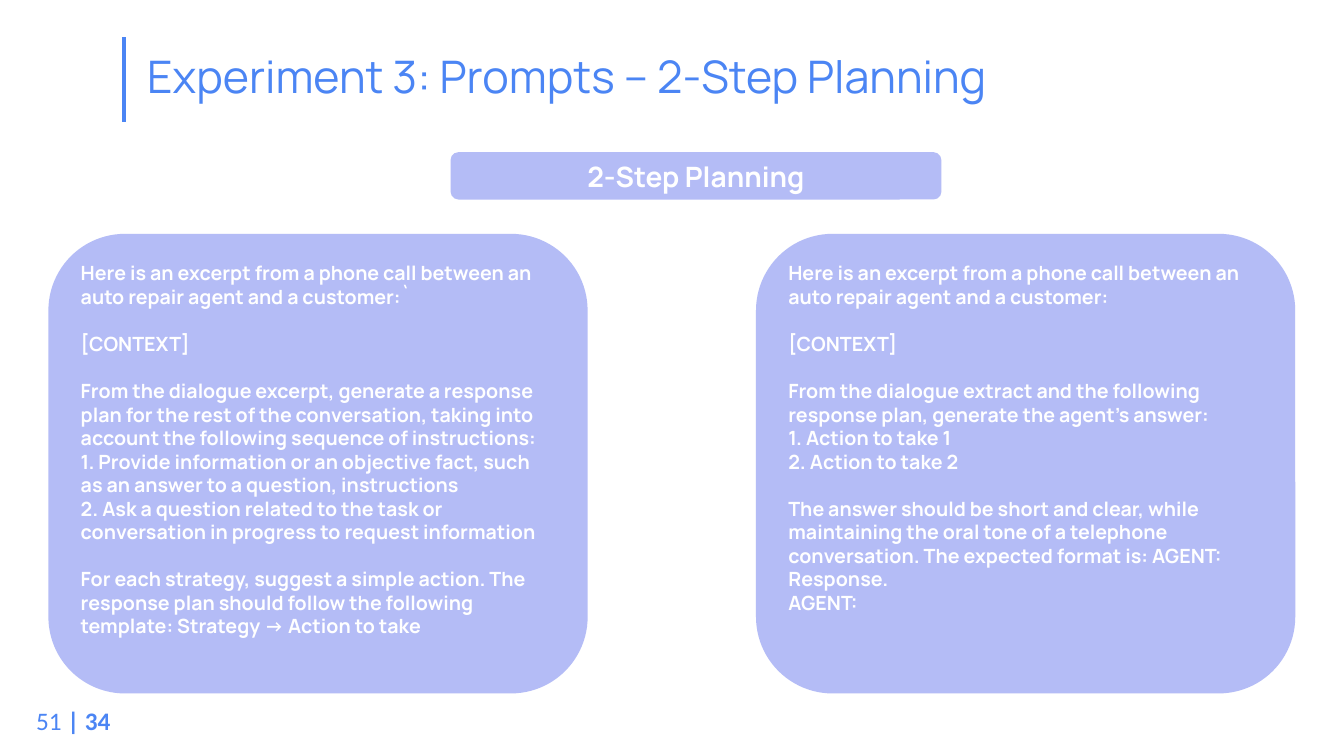
from lxml.etree import SubElement
from pptx import Presentation
from pptx.dml.color import RGBColor
from pptx.enum.shapes import MSO_CONNECTOR, MSO_SHAPE
from pptx.enum.text import MSO_ANCHOR, MSO_AUTO_SIZE, PP_ALIGN
from pptx.oxml.ns import qn
from pptx.util import Pt

COLORS = {"blue": "4B85F4", "lavender": "A5AFF5", "white": "FFFFFF"}
TITLE = {"name": "Manrope", "size": Pt(32), "bold": False}
HEADING = {"name": "Manrope", "size": Pt(20), "bold": True}
PROMPT = {"name": "Manrope", "size": Pt(14), "bold": True}
NUMBER = {"name": "Calibri", "size": Pt(18), "bold": False}
TOTAL = {"name": "Calibri", "size": Pt(18), "bold": True}
BLOCK_GAP = Pt(16.8)


def add_span(para, text, style, color):
    span = para.add_run()
    span.text = text
    for key, value in style.items():
        setattr(span.font, key, value)
    span.font.color.rgb = RGBColor.from_string(COLORS[color])


def add_panel(page, left, top, width, height, anchor):
    panel = page.shapes.add_shape(
        MSO_SHAPE.ROUNDED_RECTANGLE, Pt(left), Pt(top), Pt(width), Pt(height)
    )
    panel.shadow.inherit = False
    panel.line.fill.background()
    panel.fill.solid()
    panel.fill.fore_color.rgb = RGBColor.from_string(COLORS["lavender"])
    fill_color = panel.fill._xPr.find(qn("a:solidFill"))[0]
    SubElement(fill_color, qn("a:alpha"), val="83000")
    panel.text_frame.word_wrap = True
    panel.text_frame.vertical_anchor = anchor
    return panel.text_frame


deck = Presentation()
deck.slide_width, deck.slide_height = Pt(960), Pt(540)
page = deck.slides.add_slide(deck.slide_layouts[5])

number_box = page.shapes.add_textbox(Pt(18.72), Pt(500.4), Pt(71.28), Pt(28.8))
number_box.text_frame.word_wrap = False
number_para = number_box.text_frame.paragraphs[0]
add_span(number_para, "51 ", NUMBER, "blue")
add_span(number_para, "| 34", TOTAL, "blue")

title_rule = page.shapes.add_connector(
    MSO_CONNECTOR.STRAIGHT, Pt(88.56), Pt(26.64), Pt(88.56), Pt(87.12)
)
title_rule.line.color.rgb = RGBColor.from_string(COLORS["blue"])
title_rule.line.width = Pt(2.25)
SubElement(title_rule.line._get_or_add_ln().getparent(), qn("a:effectLst"))

title = page.shapes.title
title.left, title.top, title.width, title.height = Pt(97.92), Pt(4.32), Pt(828), Pt(104.4)
title.text_frame.auto_size = MSO_AUTO_SIZE.NONE
title.text_frame.word_wrap = True
title.text_frame.vertical_anchor = MSO_ANCHOR.MIDDLE
title_para = title.text_frame.paragraphs[0]
title_para.alignment = PP_ALIGN.LEFT
title_para.line_spacing = 0.9
add_span(title_para, "Experiment 3: Prompts – 2-Step Planning", TITLE, "blue")

heading = add_panel(page, 321.84, 108.72, 350.64, 33.84, MSO_ANCHOR.MIDDLE)
heading.paragraphs[0].alignment = PP_ALIGN.CENTER
add_span(heading.paragraphs[0], "2-Step Planning", HEADING, "white")

prompts = [
    (34.56, [
        ["Here is an excerpt from a phone call between an auto repair agent and a customer:`"],
        ["[CONTEXT]"],
        [
            "From the dialogue excerpt, generate a response plan for the rest of the "
            "conversation, taking into account the following sequence of instructions:",
            "1. Provide information or an objective fact, such as an answer to a question, "
            "instructions",
            "2. Ask a question related to the task or conversation in progress to request "
            "information",
        ],
        [
            "For each strategy, suggest a simple action. The response plan should follow "
            "the following template: Strategy → Action to take",
        ],
    ]),
    (540, [
        ["Here is an excerpt from a phone call between an auto repair agent and a customer:"],
        ["[CONTEXT]"],
        [
            "From the dialogue extract and the following response plan, generate the "
            "agent's answer:",
            "1. Action to take 1",
            "2. Action to take 2",
        ],
        [
            "The answer should be short and clear, while maintaining the oral tone of a "
            "telephone conversation. The expected format is: AGENT: Response.",
            "AGENT:",
        ],
    ]),
]

for left, blocks in prompts:
    frame = add_panel(page, left, 167.04, 385.2, 328.32, MSO_ANCHOR.TOP)
    for block_index, block in enumerate(blocks):
        for line_index, text in enumerate(block):
            first = block_index == 0 and line_index == 0
            para = frame.paragraphs[0] if first else frame.add_paragraph()
            para.alignment = PP_ALIGN.LEFT
            if block_index > 0 and line_index == 0:
                para.space_before = BLOCK_GAP
            add_span(para, text, PROMPT, "white")

deck.save("out.pptx")
